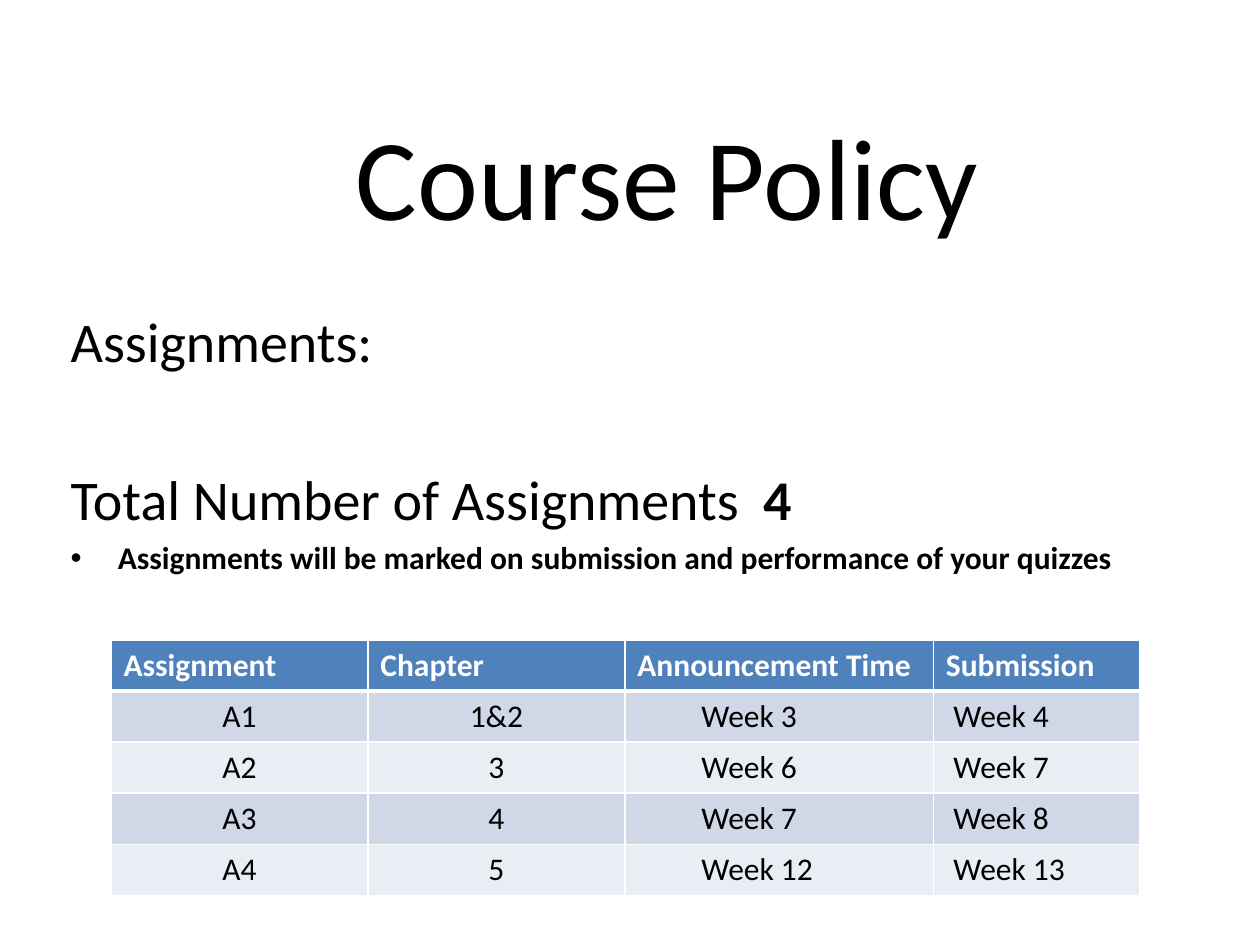
from lxml import etree
from pptx import Presentation
from pptx.dml.color import RGBColor
from pptx.enum.text import MSO_ANCHOR, MSO_AUTO_SIZE, PP_ALIGN
from pptx.oxml.ns import qn
from pptx.util import Cm, Pt

BLACK = RGBColor(0x00, 0x00, 0x00)
WHITE = RGBColor(0xFF, 0xFF, 0xFF)
HEADER_BLUE = RGBColor(0x4F, 0x81, 0xBD)
BAND_DARK = RGBColor(0xD0, 0xD8, 0xE8)
BAND_LIGHT = RGBColor(0xE9, 0xED, 0xF4)
LEFT, CENTER = PP_ALIGN.LEFT, PP_ALIGN.CENTER
MIDDLE = MSO_ANCHOR.MIDDLE
NO_AUTOFIT = MSO_AUTO_SIZE.NONE


def add_run(paragraph, text, size, color=BLACK, bold=False):
    run = paragraph.add_run()
    run.text = text
    run.font.name = "Calibri"
    run.font.size = Pt(size)
    run.font.bold = bold
    run.font.color.rgb = color


def add_border(cell, side, width):
    line = etree.SubElement(cell._tc.get_or_add_tcPr(), qn(f"a:ln{side}"), w=str(Pt(width)))
    fill = etree.SubElement(line, qn("a:solidFill"))
    etree.SubElement(fill, qn("a:srgbClr"), val=str(WHITE))


prs = Presentation()
prs.slide_width, prs.slide_height = Cm(25.4), Cm(19.05)
slide = prs.slides.add_slide(prs.slide_layouts[1])

# Title
title = slide.shapes.title
title.left, title.top, title.width, title.height = Cm(2.97), Cm(1.52), Cm(20.96), Cm(3.99)
title.text_frame.auto_size = NO_AUTOFIT
title.text_frame.vertical_anchor = MIDDLE
heading = title.text_frame.paragraphs[0]
heading.alignment = CENTER
add_run(heading, "Course Policy", 66)

# Assignment rules
body = slide.placeholders[1]
body.left, body.top, body.width, body.height = Cm(1.17), Cm(4.45), Cm(22.86), Cm(13.97)
rules = body.text_frame
rules.auto_size = NO_AUTOFIT
rules.margin_top = Cm(1.73)

assignments = rules.paragraphs[0]
total = rules.add_paragraph()
marking = rules.add_paragraph()

for paragraph in (assignments, total):
    props = paragraph._p.get_or_add_pPr()
    props.set("marL", "0")
    props.set("indent", "0")
    etree.SubElement(props, qn("a:buNone"))
assignments.space_before = Pt(0)
add_run(assignments, "Assignments:", 32)

tabs = etree.SubElement(total._p.get_or_add_pPr(), qn("a:tabLst"))
etree.SubElement(tabs, qn("a:tab"), pos=str(Cm(14)), algn="l")
total.space_before = Pt(52)
add_run(total, "Total Number of Assignments\t", 32)
add_run(total, "4", 32, bold=True)

props = marking._p.get_or_add_pPr()
props.set("marL", str(Cm(0.95)))
props.set("indent", str(Cm(-0.95)))
etree.SubElement(props, qn("a:buChar"), char="•")
marking.space_before = Pt(3.6)
add_run(marking, "Assignments will be marked on submission and performance of your quizzes", 18, bold=True)

# Schedule table
schedule = [
    ("Assignment", "Chapter", "Announcement Time", "Submission"),
    ("A1", "1&2", "Week 3", "Week 4"),
    ("A2", "3", "Week 6", "Week 7"),
    ("A3", "4", "Week 7", "Week 8"),
    ("A4", "5", "Week 12", "Week 13"),
]
# Width, alignment and left margin of the entries in each column
columns = [(5.18, CENTER, 0.25), (5.18, CENTER, 0.25), (6.22, LEFT, 1.54), (4.15, LEFT, 0.4)]

table = slide.shapes.add_table(
    len(schedule), len(columns), Cm(2.24), Cm(12.9), Cm(20.73), Cm(5.15)).table
for column, (width, _, _) in zip(table.columns, columns):
    column.width = Cm(width)

for r, entries in enumerate(schedule):
    table.rows[r].height = Cm(1.03)
    is_header = r == 0
    for c, (entry, (_, alignment, margin)) in enumerate(zip(entries, columns)):
        cell = table.cell(r, c)
        for side, width in (("L", 1), ("R", 1), ("T", 3 if r == 1 else 1), ("B", 3 if is_header else 1)):
            add_border(cell, side, width)
        cell.fill.solid()
        cell.fill.fore_color.rgb = HEADER_BLUE if is_header else BAND_DARK if r % 2 else BAND_LIGHT
        cell.margin_left = Cm(0.25 if is_header else margin)
        paragraph = cell.text_frame.paragraphs[0]
        paragraph.alignment = LEFT if is_header else alignment
        add_run(paragraph, entry, 18, WHITE if is_header else BLACK, is_header)

prs.save("out.pptx")
